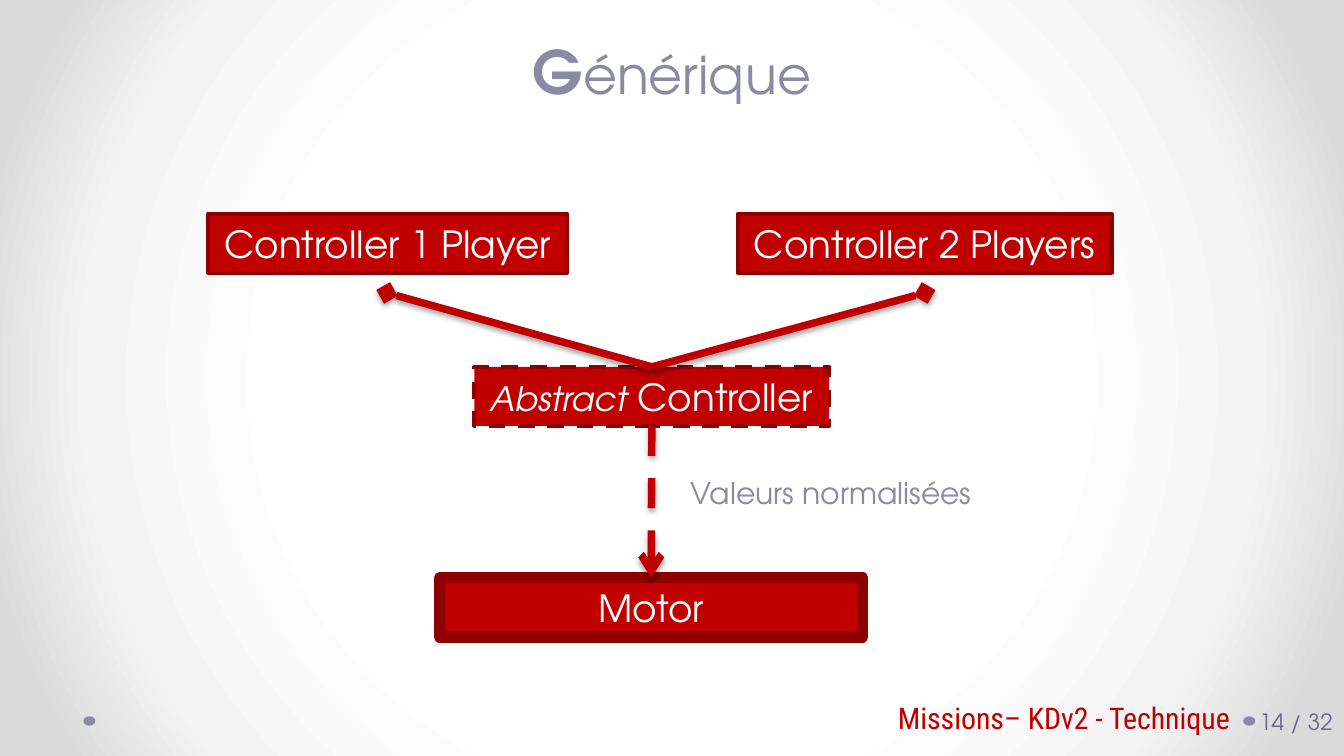
from lxml import etree
from pptx import Presentation
from pptx import util as u
from pptx.dml.color import RGBColor
from pptx.enum import dml, shapes, text
from pptx.oxml import parse_xml
from pptx.oxml.ns import nsdecls, qn

RED = RGBColor(0xC0, 0x00, 0x00)
DARK_RED = RGBColor(0x8E, 0x00, 0x00)
GREY = RGBColor(0x8A, 0x8A, 0xA3)
DARK_GREY = RGBColor(0x69, 0x69, 0x86)
WHITE = RGBColor(0xFF, 0xFF, 0xFF)
FONT = "TeX Gyre Adventor"
DASH = dml.MSO_LINE.DASH

# Widescreen 16:9
deck = Presentation()
deck.slide_width = u.Inches(10)
deck.slide_height = u.Inches(10) * 9 // 16
slide = deck.slides.add_slide(deck.slide_layouts[6])


def write(shape, *runs, color=WHITE, font=FONT, align=text.PP_ALIGN.CENTER,
          anchor=text.MSO_ANCHOR.MIDDLE, wrap=True):
    """Fill a shape with one paragraph; a run is (words, size, bold, italic)."""
    frame = shape.text_frame
    frame.word_wrap = wrap
    frame.vertical_anchor = anchor
    paragraph = frame.paragraphs[0]
    paragraph.alignment = align
    for words, size, bold, italic in runs:
        run = paragraph.add_run()
        run.text = words
        run.font.name, run.font.size = font, u.Pt(size)
        run.font.bold, run.font.italic = bold, italic
        run.font.color.rgb = color
    return frame


def add_box(left, top, width, height, fill, kind=shapes.MSO_SHAPE.RECTANGLE):
    box = slide.shapes.add_shape(kind, *map(u.Inches, (left, top, width, height)))
    box.shadow.inherit = False
    box.fill.solid()
    box.fill.fore_color.rgb = fill
    box.line.fill.background()
    return box


# Background: white centre fading to grey corners
slide.background.fill.gradient()
gradient = slide.background._cSld.find(".//" + qn("a:gradFill"))
for part in list(gradient):
    gradient.remove(part)
stops = "".join(
    f'<a:gs pos="{place}000"><a:srgbClr val="{shade}"/></a:gs>'
    for place, shade in ((50, "FFFFFF"), (76, "F4F4F4"), (92, "DADADA")))
gradient.append(parse_xml(f'<a:gsLst {nsdecls("a")}>{stops}</a:gsLst>'))
gradient.append(parse_xml(
    f'<a:path {nsdecls("a")} path="circle">'
    '<a:fillToRect l="50000" t="50000" r="50000" b="50000"/></a:path>'))

# Footer dots
for left in (9.25, 0.62):
    add_box(left, 5.33, 0.09, 0.07, GREY, shapes.MSO_SHAPE.OVAL)

# Footer, title, arrow label and page number
footer, title, values, page = [
    slide.shapes.add_textbox(*map(u.Inches, place)) for place in (
        (0.75, 5.17, 8.5, 0.34), (0.75, 0.21, 8.5, 0.64),
        (5.02, 3.48, 2.33, 0.37), (9.34, 5.21, 0.66, 0.32))]
footer_frame = write(footer, ("Missions– KDv2 - Technique", 16, False, False),
                     color=RED, font="Roboto Condensed", align=text.PP_ALIGN.RIGHT)
footer_frame.margin_top = footer_frame.margin_bottom = u.Inches(0.1)
write(title, ("G", 32, True, False), ("énérique", 28, False, False),
      color=GREY, anchor=text.MSO_ANCHOR.TOP)
write(values, ("Valeurs normalisées", 16, False, False), color=GREY, wrap=False)
page_frame = write(page, ("14 / 32", 12, False, False), color=DARK_GREY,
                   align=text.PP_ALIGN.LEFT)
page_frame.margin_left, page_frame.margin_right = u.Inches(0.03), u.Inches(0.05)

# Class boxes: left, top, width, border, dash, wrap, runs
classes = []
for left, top, width, border, dash, wrap, runs in (
    (3.27, 4.3, 3.15, 6, None, True, [("Motor", 20, False, False)]),
    (3.53, 2.73, 2.64, 2.25, DASH, False,
     [("Abstract ", 18, False, True), ("Controller", 20, False, False)]),
    (1.55, 1.59, 2.67, 2.25, None, False, [("Controller 1 Player", 20, False, False)]),
    (5.49, 1.59, 2.78, 2.25, None, False, [("Controller 2 Players", 20, False, False)]),
):
    box = add_box(left, top, width, 0.44, RED)
    box.line.color.rgb, box.line.width = DARK_RED, u.Pt(border)
    box.line.dash_style = dash
    write(box, *runs, wrap=wrap)
    classes.append(box)
motor, abstract = classes[:2]

# Links: start, end, start box, end box, dash, arrowhead
for start, end, source, target, dash, tip, tip_kind in (
    ((6.88, 2.18), (4.85, 2.73), None, abstract, None, "headEnd", "diamond"),
    ((4.85, 3.17), (4.84, 4.3), abstract, motor, DASH, "tailEnd", "arrow"),
    ((2.88, 2.18), (4.85, 2.73), None, abstract, None, "headEnd", "diamond"),
):
    link = slide.shapes.add_connector(
        shapes.MSO_CONNECTOR.STRAIGHT, *map(u.Inches, start + end))
    if source:
        link.begin_connect(source, 2)
    link.end_connect(target, 0)
    link.line.color.rgb, link.line.width = RED, u.Pt(4)
    link.line.dash_style = dash
    properties = link._element.spPr
    etree.SubElement(properties.find(qn("a:ln")), qn("a:" + tip), type=tip_kind)
    properties.append(parse_xml(
        f'<a:effectLst {nsdecls("a")}>'
        f'<a:outerShdw blurRad="{u.Pt(3.1)}" dist="{u.Pt(1.8)}" dir="5400000" rotWithShape="0">'
        '<a:srgbClr val="000000"><a:alpha val="35000"/></a:srgbClr>'
        '</a:outerShdw></a:effectLst>'))

deck.save("out.pptx")
